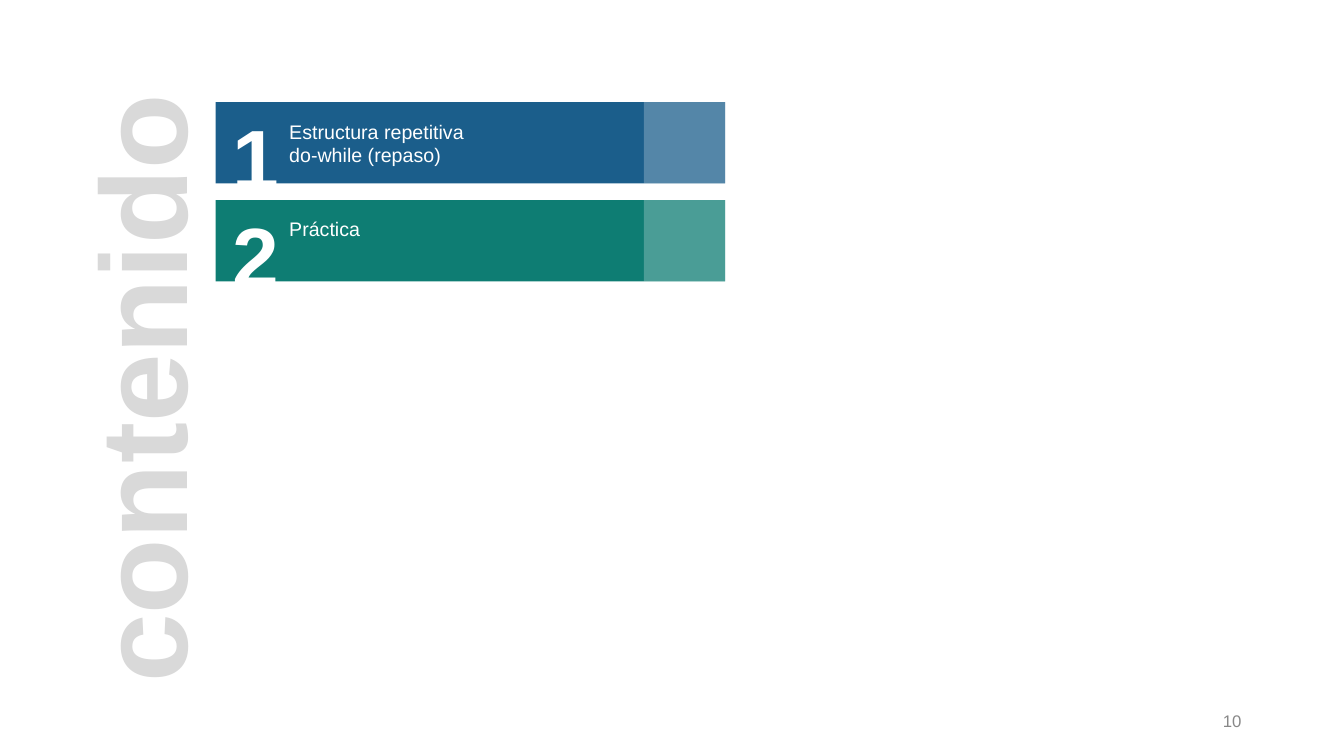
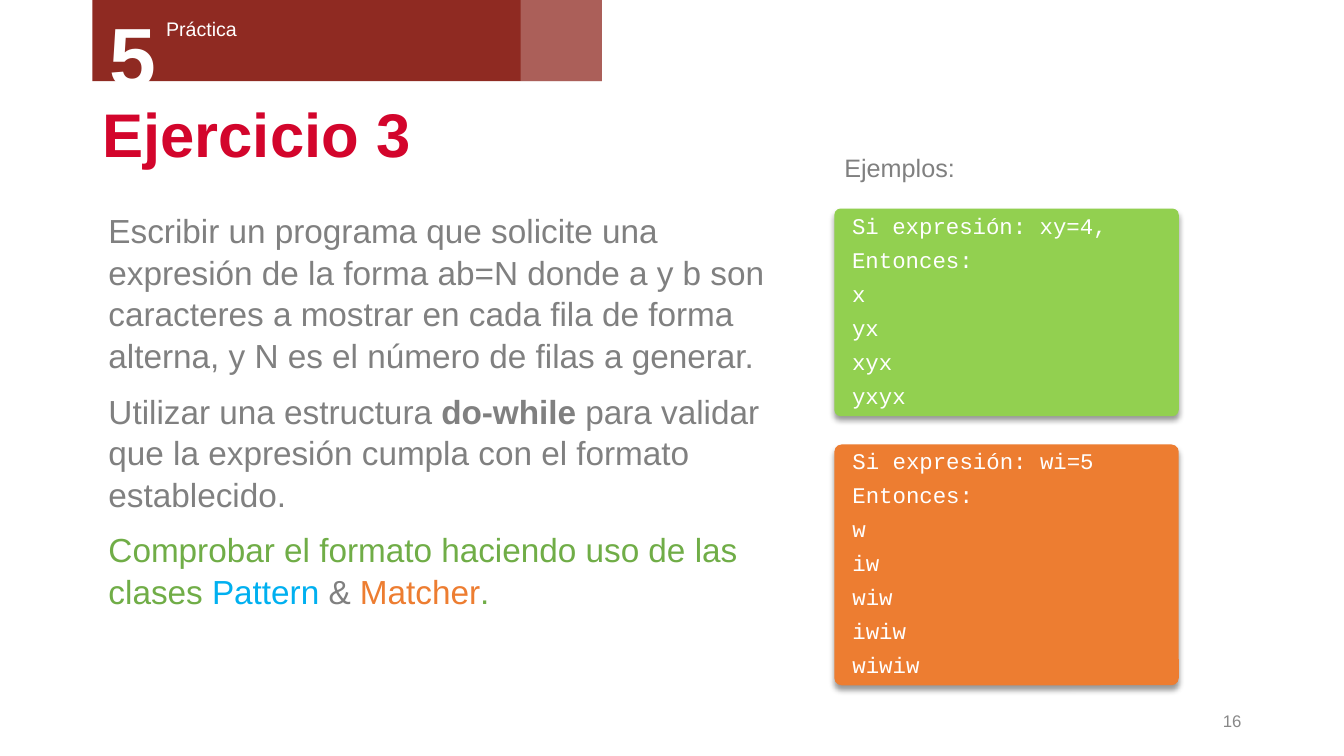
from dataclasses import dataclass
from typing import Optional

from lxml.etree import SubElement
from pptx import Presentation
from pptx.dml.color import RGBColor
from pptx.enum.shapes import MSO_SHAPE as Preset
from pptx.enum.text import MSO_ANCHOR as Anchor, MSO_AUTO_SIZE as AutoSize, PP_ALIGN as Align
from pptx.oxml.ns import qn
from pptx.util import Pt


@dataclass(frozen=True)
class Theme:
    sans: str = "Arial"
    mono: str = "Courier New"
    white: str = "FFFFFF"
    pale_gray: str = "D9D9D9"
    gray: str = "808080"
    number_gray: str = "888888"
    blue: str = "1B5E8B"
    teal: str = "0E7D73"
    maroon: str = "8F2A22"
    red: str = "D3052C"
    green: str = "70AD47"
    sky: str = "00B0F0"
    orange: str = "ED7D31"
    lime: str = "92D050"
    page_size: float = 12
    caption_size: float = 14
    code_size: float = 16
    label_size: float = 18
    body_size: float = 23.8
    title_size: float = 44
    digit_size: float = 60
    banner_size: float = 88


THEME = Theme()
TEXT_INDENT = 4.32


@dataclass(frozen=True)
class Box:
    left: float
    top: float
    width: float
    height: float


@dataclass(frozen=True)
class Style:
    size: float
    color: str
    bold: bool = False
    font: str = THEME.sans


@dataclass(frozen=True)
class Span:
    text: str
    color: str = THEME.gray
    bold: bool = False


@dataclass(frozen=True)
class Band:
    digit: str
    caption: tuple[str, ...]
    color: str
    left: float
    top: float


@dataclass(frozen=True)
class Card:
    lines: tuple[str, ...]
    color: str
    top: float
    height: float


CONTENT_BANDS = (
    Band("1", ("Estructura repetitiva", "do-while (repaso)"), THEME.blue, 154, 73),
    Band("2", ("Práctica",), THEME.teal, 154, 143),
)
PRACTICE_BAND = Band("5", ("Práctica",), THEME.maroon, 66, 0)
EXERCISE = (
    (
        Span(
            "Escribir un programa que solicite una expresión de la forma ab=N donde "
            "a y b son caracteres a mostrar en cada fila de forma alterna, y N es el "
            "número de filas a generar."
        ),
    ),
    (
        Span("Utilizar una estructura "),
        Span("do-while", bold=True),
        Span(" para validar que la expresión cumpla con el formato establecido."),
    ),
    (
        Span("Comprobar el formato haciendo uso de las clases ", THEME.green),
        Span("Pattern ", THEME.sky),
        Span("& "),
        Span("Matcher", THEME.orange),
        Span(".", THEME.green),
    ),
)
CARDS = (
    Card(("Si expresión: xy=4,", "Entonces:", "x", "yx", "xyx", "yxyx"), THEME.lime, 149, 148.3),
    Card(
        ("Si expresión: wi=5", "Entonces:", "w", "iw", "wiw", "iwiw", "wiwiw"),
        THEME.orange, 317.5, 172,
    ),
)


def place(shape, box: Box) -> None:
    shape.left, shape.top = Pt(box.left), Pt(box.top)
    shape.width, shape.height = Pt(box.width), Pt(box.height)


def prepare_frame(shape, anchor: Anchor):
    frame = shape.text_frame
    frame.auto_size = AutoSize.NONE
    frame.word_wrap = True
    frame.vertical_anchor = anchor
    return frame


def add_run(paragraph, text: str, style: Style) -> None:
    run = paragraph.add_run()
    run.text = text
    font = run.font
    font.name, font.size, font.bold = style.font, Pt(style.size), style.bold
    font.color.rgb = RGBColor.from_string(style.color)


def paragraph_at(frame, index: int):
    return frame.add_paragraph() if index else frame.paragraphs[0]


def indent_plain(paragraph) -> None:
    properties = paragraph._p.get_or_add_pPr()
    properties.set("marL", str(Pt(TEXT_INDENT)))
    properties.set("indent", "0")
    SubElement(properties, qn("a:buNone"))


def add_label(shapes, box: Box, lines: tuple[str, ...], style: Style,
              anchor: Anchor = Anchor.BOTTOM, align: Align = Align.LEFT) -> None:
    shape = shapes.add_textbox(0, 0, 0, 0)
    place(shape, box)
    paragraph = prepare_frame(shape, anchor).paragraphs[0]
    paragraph.alignment = align
    for index, line in enumerate(lines):
        if index:
            paragraph.add_line_break()
        add_run(paragraph, line, style)


def add_block(shapes, preset: Preset, box: Box, color: str, opacity: Optional[int] = None):
    shape = shapes.add_shape(preset, 0, 0, 0, 0)
    place(shape, box)
    shape.shadow.inherit = False
    shape.line.fill.background()
    shape.fill.solid()
    shape.fill.fore_color.rgb = RGBColor.from_string(color)
    if opacity is not None:
        fill_color = shape._element.spPr.find(qn("a:solidFill"))[0]
        SubElement(fill_color, qn("a:alpha"), val=str(opacity * 1000))
    return shape


def add_shadow(shape) -> None:
    effects = shape._element.spPr.find(qn("a:effectLst"))
    shadow = SubElement(effects, qn("a:outerShdw"), blurRad=str(Pt(4)), dist=str(Pt(3)),
                        dir="5400000", algn="t", rotWithShape="0")
    color = SubElement(shadow, qn("a:srgbClr"), val="000000")
    SubElement(color, qn("a:alpha"), val="40000")


def add_band(slide, band: Band) -> None:
    shapes = slide.shapes.add_group_shape().shapes
    width, height, strip = 364, 58, 58
    left, top = band.left, band.top
    add_block(shapes, Preset.RECTANGLE, Box(left, top, width, height), band.color)
    caption_box = Box(left + 45.5, top + 8.3, 198, 7.2 + 17 * len(band.caption))
    add_label(shapes, caption_box, band.caption, Style(THEME.caption_size, THEME.white))
    add_label(shapes, Box(left + 5, top - 2, 81, 80), (band.digit,),
              Style(THEME.digit_size, THEME.white, True))
    strip_box = Box(left + width - strip, top, strip, height)
    add_block(shapes, Preset.RECTANGLE, strip_box, THEME.white, 25)


def set_title(slide, box: Box, text: str, style: Style, anchor: Anchor,
              line_spacing: float = 1.0, rotation: float = 0) -> None:
    title = slide.shapes.title
    place(title, box)
    title.rotation = rotation
    paragraph = prepare_frame(title, anchor).paragraphs[0]
    paragraph.alignment = Align.LEFT
    paragraph.line_spacing = line_spacing
    add_run(paragraph, text, style)


def add_page_number(slide, number: int) -> None:
    add_label(slide.shapes, Box(678, 500.4, 216, 28.8), (str(number),),
              Style(THEME.page_size, THEME.number_gray), Anchor.MIDDLE, Align.RIGHT)


def fill_body(slide) -> None:
    body = slide.placeholders[1]
    place(body, Box(66, 145.5, 488, 344))
    frame = prepare_frame(body, Anchor.TOP)
    for index, spans in enumerate(EXERCISE):
        paragraph = paragraph_at(frame, index)
        paragraph.alignment = Align.LEFT
        paragraph.line_spacing = 1.04
        paragraph.space_before = Pt(10)
        indent_plain(paragraph)
        for span in spans:
            add_run(paragraph, span.text, Style(THEME.body_size, span.color, span.bold))


def add_card(slide, card: Card) -> None:
    box = Box(596, card.top, 246, card.height)
    shape = add_block(slide.shapes, Preset.ROUNDED_RECTANGLE, box, card.color)
    shape.adjustments[0] = 0.03
    add_shadow(shape)
    frame = prepare_frame(shape, Anchor.BOTTOM)
    for index, line in enumerate(card.lines):
        paragraph = paragraph_at(frame, index)
        paragraph.alignment = Align.LEFT
        paragraph.line_spacing = 1.27
        indent_plain(paragraph)
        add_run(paragraph, line, Style(THEME.code_size, THEME.white, font=THEME.mono))


def build_contents(presentation) -> None:
    slide = presentation.slides.add_slide(presentation.slide_layouts[5])
    set_title(slide, Box(-122.4, 217.4, 441, 114), "contenido",
              Style(THEME.banner_size, THEME.pale_gray, True), Anchor.BOTTOM, rotation=270)
    for band in CONTENT_BANDS:
        add_band(slide, band)
    add_page_number(slide, 10)


def build_exercise(presentation) -> None:
    slide = presentation.slides.add_slide(presentation.slide_layouts[1])
    add_band(slide, PRACTICE_BAND)
    set_title(slide, Box(66, 67, 828, 62), "Ejercicio 3",
              Style(THEME.title_size, THEME.red, True), Anchor.MIDDLE, 0.9)
    fill_body(slide)
    add_label(slide.shapes, Box(596, 105, 236, 29), ("Ejemplos:",),
              Style(THEME.label_size, THEME.gray))
    for card in CARDS:
        add_card(slide, card)
    add_page_number(slide, 16)


def main() -> None:
    """Build the contents slide and the exercise slide."""
    presentation = Presentation()
    presentation.slide_width, presentation.slide_height = Pt(960), Pt(540)
    build_contents(presentation)
    build_exercise(presentation)
    presentation.save("out.pptx")


if __name__ == "__main__":
    main()
